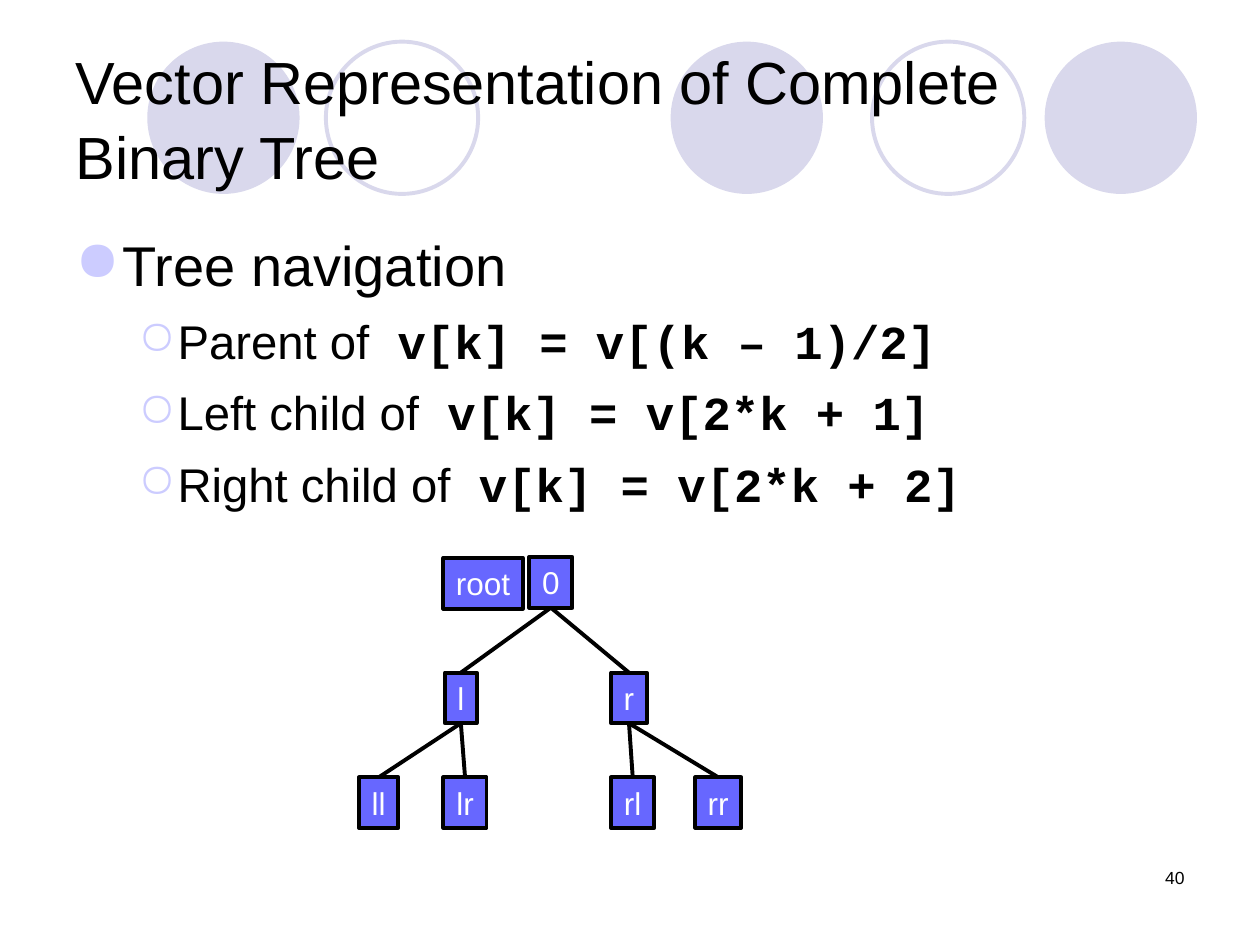
import pptx
import pptx.dml.color
import pptx.enum.shapes
import pptx.enum.text
import pptx.oxml.ns
import pptx.util
from lxml import etree

Cm = pptx.util.Cm
Pt = pptx.util.Pt
ALIGN = pptx.enum.text.PP_ALIGN
ANCHOR = pptx.enum.text.MSO_ANCHOR
SHAPE = pptx.enum.shapes.MSO_SHAPE
qn = pptx.oxml.ns.qn

COLOURS = {
    "text": "000000",
    "light": "FFFFFF",
    "circle": "D9D8EC",
    "bullet": "CCCCFF",
    "node": "6767FF",
}


def rgb(name):
    return pptx.dml.color.RGBColor.from_string(COLOURS[name])


class SlideBuilder:
    font = "Arial"
    code_font = "Courier New"
    line_width = Pt(2.25)
    line_spacing = 1.05

    def __init__(self, prs):
        self.s = prs.slides.add_slide(prs.slide_layouts[5])

    def style(self, r, size, colour="text", font=None, bold=False):
        r.font.name = font or self.font
        r.font.size = Pt(size)
        r.font.bold = bold
        r.font.color.rgb = rgb(colour)

    def title(self, text, left, top, width, height):
        sp = self.s.shapes.title
        sp.left, sp.top, sp.width, sp.height = Cm(left), Cm(top), Cm(width), Cm(height)
        tf = sp.text_frame
        tf.text = text
        tf.word_wrap = True
        tf.auto_size = pptx.enum.text.MSO_AUTO_SIZE.NONE
        tf.vertical_anchor = ANCHOR.MIDDLE
        p = tf.paragraphs[0]
        p.alignment = ALIGN.LEFT
        p.line_spacing = self.line_spacing
        self.style(p.runs[0], 34)
        sp.element.getparent().append(sp.element)

    def shape(self, kind, left, top, width, height, fill=None, line=None):
        sp = self.s.shapes.add_shape(kind, Cm(left), Cm(top), Cm(width), Cm(height))
        sp.shadow.inherit = False
        if fill:
            sp.fill.solid()
            sp.fill.fore_color.rgb = rgb(fill)
        else:
            sp.fill.background()
        if line:
            sp.line.color.rgb = rgb(line)
            sp.line.width = self.line_width
        else:
            sp.line.fill.background()
        return sp

    def circle(self, left, filled):
        colour = "circle"
        self.shape(SHAPE.OVAL, left, 0.84, 3.07, 3.07,
                   fill=colour if filled else None, line=None if filled else colour)

    def node(self, text, left, top, width):
        sp = self.shape(SHAPE.RECTANGLE, left, top, width, 1.02, "node", "text")
        tf = sp.text_frame
        tf.text = text
        tf.word_wrap = False
        tf.vertical_anchor = ANCHOR.MIDDLE
        p = tf.paragraphs[0]
        p.alignment = ALIGN.CENTER
        self.style(p.runs[0], 18, "light")
        return sp

    def edge(self, parent, child):
        c = self.s.shapes.add_connector(pptx.enum.shapes.MSO_CONNECTOR.STRAIGHT, 0, 0, 0, 0)
        c.begin_connect(parent, 2)
        c.end_connect(child, 0)
        c.line.color.rgb = rgb("text")
        c.line.width = self.line_width
        etree.SubElement(c.element.spPr, qn("a:effectLst"))

    def text_box(self, left, top, width, height):
        sp = self.s.shapes.add_textbox(Cm(left), Cm(top), Cm(width), Cm(height))
        sp.text_frame.word_wrap = True
        return sp.text_frame

    def bullet(self, p, char, margin, hanging):
        pPr = p._p.get_or_add_pPr()
        pPr.set("marL", str(Cm(margin)))
        pPr.set("indent", str(-Cm(hanging)))
        clr = etree.SubElement(pPr, qn("a:buClr"))
        etree.SubElement(clr, qn("a:srgbClr"), val=COLOURS["bullet"])
        etree.SubElement(pPr, qn("a:buChar"), char=char)
        p.line_spacing = self.line_spacing

    def formulas(self, heading, items, left, top, width, height):
        tf = self.text_box(left, top, width, height)
        p = tf.paragraphs[0]
        p.text = heading
        self.bullet(p, "●", 0.95, 0.95)
        self.style(p.runs[0], 32)
        for label, code in items:
            p = tf.add_paragraph()
            p.level = 1
            p.text = label
            self.bullet(p, "○", 2.06, 0.79)
            p.space_before = Pt(6.8)
            self.style(p.runs[0], 27)
            r = p.add_run()
            r.text = " " + code
            self.style(r, 27, font=self.code_font, bold=True)

    def page_number(self, text, left, top, width, height):
        p = self.text_box(left, top, width, height).paragraphs[0]
        p.text = text
        p.alignment = ALIGN.RIGHT
        self.style(p.runs[0], 10)


def main():
    prs = pptx.Presentation()
    prs.slide_width, prs.slide_height = Cm(25.4), Cm(19.05)
    b = SlideBuilder(prs)

    for left, filled in ((2.97, True), (6.57, False), (13.52, True),
                         (17.58, False), (21.06, True)):
        b.circle(left, filled)
    b.title("Vector Representation of Complete Binary Tree", 1.27, 0.76, 22.86, 3.18)
    b.formulas("Tree navigation", (
        ("Parent of", "v[k] = v[(k – 1)/2]"),
        ("Left child of", "v[k] = v[2*k + 1]"),
        ("Right child of", "v[k] = v[2*k + 2]"),
    ), 1.27, 4.45, 22.86, 5.72)

    root_top, child_top, leaf_top = 11.23, 13.56, 15.67
    nodes = {text: b.node(text, left, top, width) for text, left, top, width in (
        ("0", 10.67, root_top, 0.87),
        ("l", 8.97, child_top, 0.64),
        ("r", 12.32, child_top, 0.72),
        ("ll", 7.24, leaf_top, 0.79),
        ("lr", 8.94, leaf_top, 0.87),
        ("rl", 12.32, leaf_top, 0.87),
        ("rr", 14.02, leaf_top, 0.92),
    )}
    for parent, children in (("0", ("l", "r")), ("l", ("ll", "lr")), ("r", ("rl", "rr"))):
        for child in children:
            b.edge(nodes[parent], nodes[child])
    b.node("root", 8.94, 11.25, 1.6)
    b.page_number("40", 18.21, 17.35, 5.92, 1.27)

    prs.save("out.pptx")


if __name__ == "__main__":
    main()
